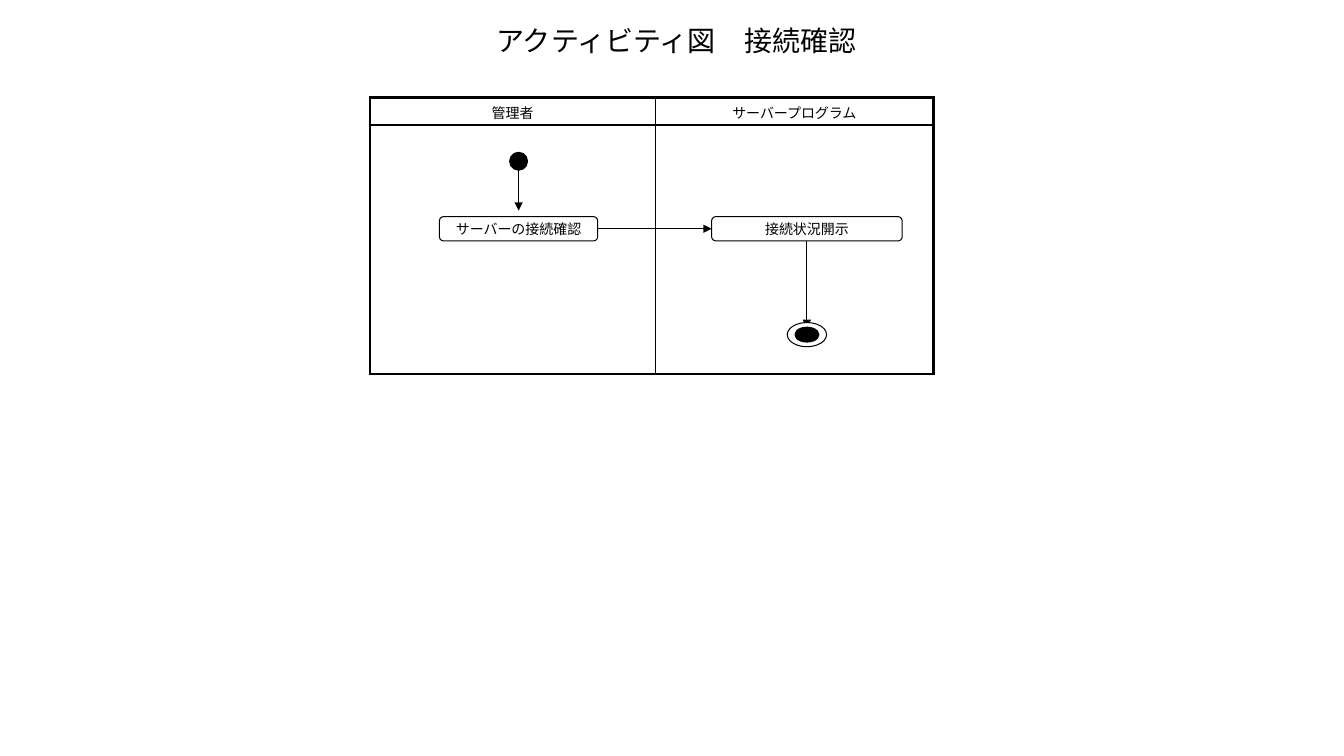
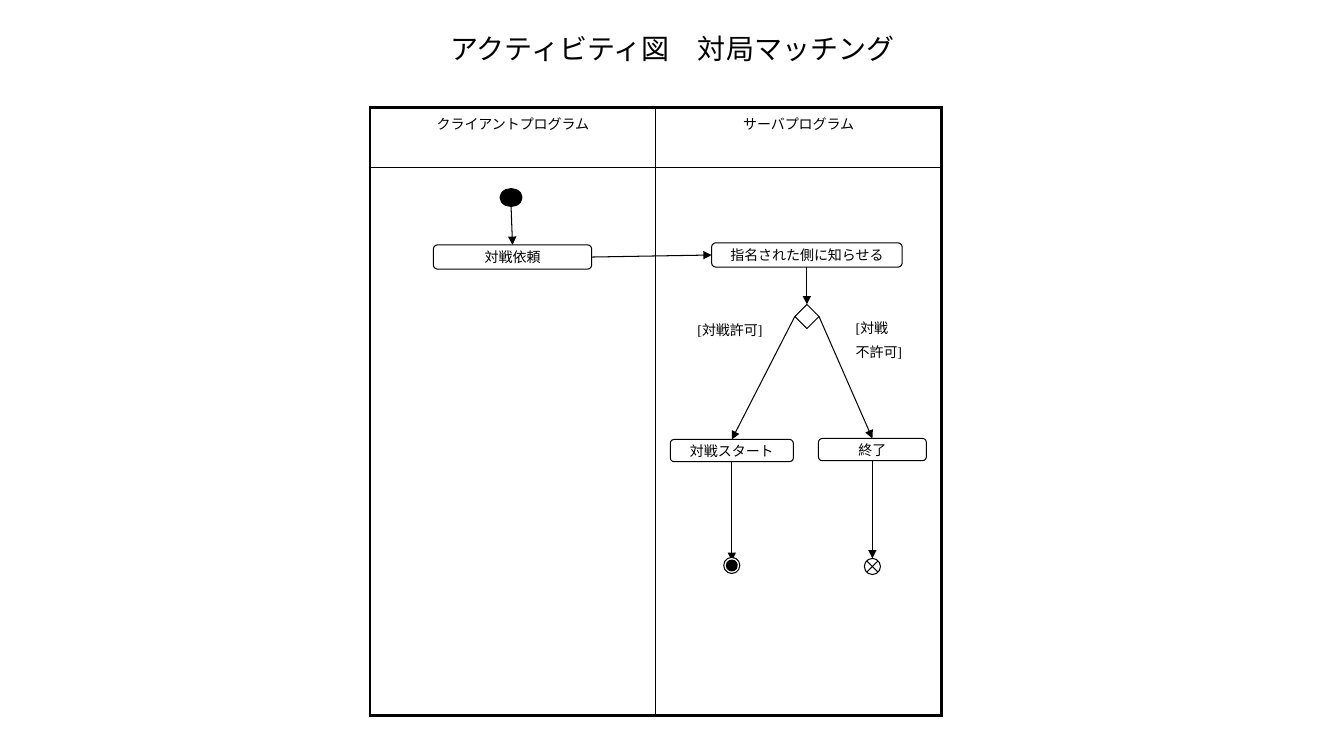
from dataclasses import dataclass

from pptx import Presentation, util as u
from pptx.dml.color import RGBColor
from pptx.enum import shapes, text
from pptx.oxml import ns, xmlchemy

CELL = u.Inches(0.1)  # one column or row of the page grid
COLUMNS, ROWS = 133.33, 75
SHAPE = shapes.MSO_SHAPE
CENTER = text.PP_ALIGN.CENTER
MIDDLE = text.MSO_ANCHOR.MIDDLE


@dataclass(frozen=True)
class Theme:
    ink: RGBColor = RGBColor(0, 0, 0)
    paper: RGBColor = RGBColor(255, 255, 255)
    font: str = "Times New Roman"
    title: float = 20
    body: float = 10
    thin: float = 0.75
    dot: float = 2
    rule: float = 1
    frame: float = 2.25
    header_gap: float = 2
    label_gap: float = 5


THEME = Theme()


def cells(*values):
    return [u.Emu(round(value * CELL)) for value in values]


def set_values(target, values):
    for name, value in values.items():
        setattr(target, name, value)


def add_child(parent, tag, **attributes):
    child = xmlchemy.OxmlElement(tag)
    for name, value in attributes.items():
        child.set(name, str(value))
    parent.append(child)
    return child


def write(frame, lines, size=THEME.body, align=None, gap=0):
    """Fill a text frame, one paragraph a line, with gap points between."""
    for index, line in enumerate(lines):
        para = frame.add_paragraph() if index else frame.paragraphs[0]
        if align is not None:
            para.alignment = align
        if index and gap:
            para.space_before = u.Pt(gap)
        span = para.add_run()
        span.text = line
        set_values(span.font, {"name": THEME.font, "size": u.Pt(size)})
        span.font.color.rgb = THEME.ink


def text_box(page, area, lines, frame_format=None, **style):
    frame = page.shapes.add_textbox(*cells(*area)).text_frame
    set_values(frame, {"word_wrap": True, **(frame_format or {})})
    write(frame, lines, **style)


def title(page, left, top, words):
    text_box(page, (left, top, 100, 4.1), [words], {"vertical_anchor": MIDDLE},
             size=THEME.title, align=CENTER)


def label(page, left, top, height, lines):
    text_box(page, (left, top, 8.7, height), lines, gap=THEME.label_gap)


def outline(parent, kind, area, fill=THEME.paper, width=THEME.thin):
    shape = parent.shapes.add_shape(kind, *cells(*area))
    shape.shadow.inherit = False
    shape.fill.solid()
    shape.fill.fore_color.rgb = fill
    shape.line.color.rgb = THEME.ink
    shape.line.width = u.Pt(width)
    return shape


def around(center, width, height):
    return center[0] - width / 2, center[1] - height / 2, width, height


def dot(parent, center, width, height):
    return outline(parent, SHAPE.OVAL, around(center, width, height), THEME.ink, THEME.dot)


def action(page, area, words):
    box = outline(page, SHAPE.ROUNDED_RECTANGLE, area)
    set_values(box.text_frame, {"word_wrap": False, "vertical_anchor": MIDDLE})
    write(box.text_frame, [words], align=CENTER)
    return box


def side(shape, name):
    """Middle of one side of a shape, in grid cells."""
    across, down = {"left": (0, 0.5), "right": (1, 0.5),
                    "top": (0.5, 0), "bottom": (0.5, 1)}[name]
    return ((shape.left + across * shape.width) / CELL,
            (shape.top + down * shape.height) / CELL)


def line(parent, start, end, head=False):
    link = parent.shapes.add_connector(shapes.MSO_CONNECTOR.STRAIGHT, *cells(*start, *end))
    link.line.color.rgb = THEME.ink
    link.line.width = u.Pt(THEME.thin)
    properties = link.element.spPr
    if head:
        add_child(properties.find(ns.qn("a:ln")), "a:tailEnd", type="triangle")
    add_child(properties, "a:effectLst")


def arrow(page, start, end):
    line(page, start, end, head=True)


def final_node(page, source, center_row, ring, core):
    """Ringed dot below source, with the arrow that ends at the dot."""
    start = side(source, "bottom")
    center = start[0], center_row
    arrow(page, start, (start[0], center_row - core[1] / 2))
    group = page.shapes.add_group_shape()
    outline(group, SHAPE.OVAL, around(center, *ring))
    dot(group, center, *core)


def cancel_node(page, source, center_row, size, reach):
    """Crossed ring below source, with the arrow that ends at the ring."""
    start = side(source, "bottom")
    x, y = start[0], center_row
    arrow(page, start, (x, y - size / 2))
    group = page.shapes.add_group_shape()
    outline(group, SHAPE.OVAL, around((x, y), size, size))
    for slope in (-1, 1):
        line(group, (x - reach, y - slope * reach), (x + reach, y + slope * reach))


def border(cell, outer_sides):
    properties = cell._tc.get_or_add_tcPr()
    for name in "LRTB":
        width = THEME.frame if name in outer_sides else THEME.rule
        edge = add_child(properties, f"a:ln{name}", w=u.Pt(width))
        add_child(add_child(edge, "a:solidFill"), "a:srgbClr", val=THEME.ink)


def swimlanes(page, top, widths, heights, names):
    frame = page.shapes.add_table(len(heights), len(widths),
                                  *cells(36.7, top, sum(widths), sum(heights)))
    table = frame.table
    set_values(table, {"first_row": False, "horz_banding": False})
    for column, width in zip(table.columns, cells(*widths)):
        column.width = width
    for row, height in zip(table.rows, cells(*heights)):
        row.height = height
    for row in range(len(heights)):
        for column, name in enumerate(names):
            cell = table.cell(row, column)
            border(cell, "TB"[row] + "LR"[column])
            cell.fill.background()
            if row == 0:
                write(cell.text_frame, [name], align=CENTER)
                cell.text_frame.paragraphs[0].space_before = u.Pt(THEME.header_gap)


def connection_check(page):
    title(page, 17.1, 1.9, "アクティビティ図　接続確認")
    swimlanes(page, 9.7, (28.3, 27.6), (2.7, 24.7), ("管理者", "サーバープログラム"))
    check = action(page, (43.6, 21.5, 15.7, 2.4), "サーバーの接続確認")
    status = action(page, (70.6, 21.5, 18.9, 2.4), "接続状況開示")
    arrow(page, side(check, "right"), side(status, "left"))
    begin = side(dot(page, (51.45, 16), 1.6, 1.6), "bottom")
    arrow(page, begin, (begin[0], 20.9))
    final_node(page, status, 33.2, (3.9, 2.4), (2.2, 1.3))


def match_making(page):
    title(page, 16.7, 2.7, "アクティビティ図　対局マッチング")
    swimlanes(page, 10.7, (28.35, 28.35), (5.9, 54.4),
              ("クライアントプログラム", "サーバプログラム"))
    request = action(page, (43, 24.3, 15.7, 2.4), "対戦依頼")
    notice = action(page, (70.6, 24.1, 18.9, 2.4), "指名された側に知らせる")
    begin = dot(page, (50.7, 19.6), 2, 1.6)
    choice = outline(page, SHAPE.DIAMOND, around((80.05, 31.4), 2.4, 2.4))
    label(page, 68.2, 31.4, 2.7, ["[対戦許可]"])
    label(page, 83.9, 31.2, 5.2, ["[対戦", "不許可]"])
    stop = action(page, (81.2, 43.5, 10.7, 2.2), "終了")
    play = action(page, (66.5, 43.6, 12.2, 2.2), "対戦スタート")
    for source, leaving, target, entering in (
            (begin, "bottom", request, "top"),
            (request, "right", notice, "left"),
            (notice, "bottom", choice, "top"),
            (choice, "left", play, "top"),
            (choice, "right", stop, "top")):
        arrow(page, side(source, leaving), side(target, entering))
    final_node(page, play, 56.1, (1.6, 1.6), (0.9, 0.9))
    cancel_node(page, stop, 56.2, 1.6, 0.57)


def main():
    deck = Presentation()
    deck.slide_width, deck.slide_height = cells(COLUMNS, ROWS)
    for build in (connection_check, match_making):
        build(deck.slides.add_slide(deck.slide_layouts[6]))
    deck.save("out.pptx")


if __name__ == "__main__":
    main()
